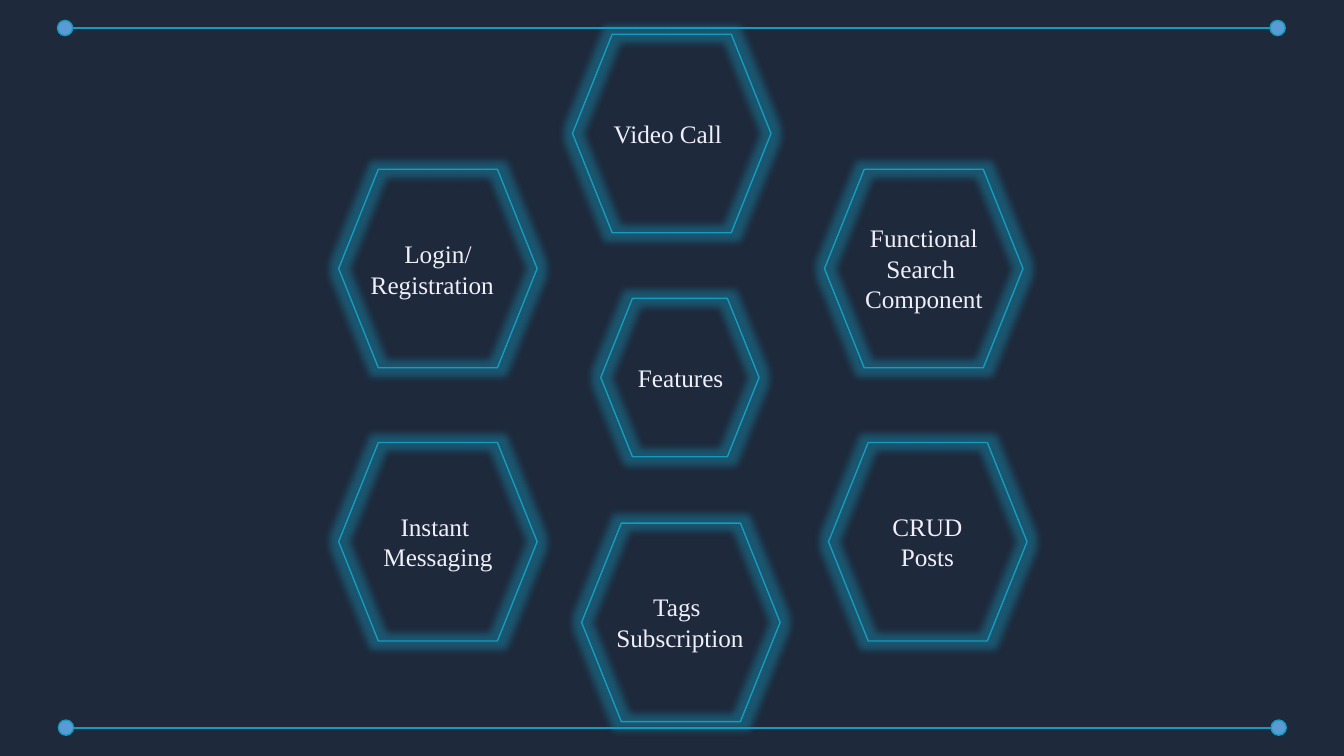
import dataclasses

import pptx
import pptx.dml.color
import pptx.enum.shapes
import pptx.enum.text
import pptx.oxml
import pptx.oxml.ns
import pptx.util


@dataclasses.dataclass(frozen=True)
class Theme:
    """Colours, font and sizes of the slide."""
    background: str = "1E293B"
    rule: str = "169BBF"
    dot: str = "5B9BD5"
    outline: str = "159BBF"
    text: str = "F0EFF9"
    font: str = "Times New Roman"
    text_size: float = 18
    rule_width: float = 1.5
    outline_width: float = 1
    glow_radius: float = 11
    glow_opacity: int = 40


@dataclasses.dataclass(frozen=True)
class Feature:
    """A hexagon and its label, placed in percent of the slide's size."""
    lines: tuple
    hexagon: tuple
    label: tuple
    size: float = 14.77
    alignments: str = "ccc"
    wrap: bool = False


THEME = Theme()
WIDTH = pptx.util.Inches(13.333)
HEIGHT = pptx.util.Inches(7.5)
DOT_SIZE = 1.13
LABEL_MARGIN = 1.33
LINE_HEIGHT = 4.05
ALIGNMENTS = {"l": pptx.enum.text.PP_ALIGN.LEFT, "c": pptx.enum.text.PP_ALIGN.CENTER}
RULES = ((4.84, 95.06, 3.7), (4.91, 95.14, 96.25))
FEATURES = (
    Feature(("Features",), (44.7, 39.47), (46.73, 47.2, 8.4), 11.78, "l", True),
    Feature(("Login/", "Registration"), (25.2, 22.4), (26.85, 30.93, 11.48),
            alignments="cl", wrap=True),
    Feature(("Instant ", "Messaging"), (25.2, 58.53), (27.75, 66.93, 9.68)),
    Feature(("Tags ", "Subscription"), (43.28, 69.2), (45.08, 77.6, 11.03)),
    Feature(("Video Call",), (42.6, 4.53), (44.85, 14.93, 9.68)),
    Feature(("Functional", "Search ", "Component"), (61.35, 22.4), (63.45, 28.8, 10.58)),
    Feature(("CRUD", "Posts"), (61.65, 58.53), (65.63, 66.93, 6.75)),
)


def across(percent):
    """Return a share of the slide's width."""
    return round(WIDTH * percent / 100)


def down(percent):
    """Return a share of the slide's height."""
    return round(HEIGHT * percent / 100)


def color(value):
    """Return a colour from its hexadecimal name."""
    return pptx.dml.color.RGBColor.from_string(value)


def set_line(shape, line_color, width):
    """Give a shape or connector a solid line."""
    shape.line.color.rgb = color(line_color)
    shape.line.width = pptx.util.Pt(width)


def add_outlined_shape(shapes, kind, left, top, size, line_color, fill=None):
    """Add a shape as wide as it is high, with an outline and an optional fill."""
    shape = shapes.add_shape(kind, left, top, size, size)
    shape.shadow.inherit = False
    if fill:
        shape.fill.solid()
        shape.fill.fore_color.rgb = color(fill)
    else:
        shape.fill.background()
    set_line(shape, line_color, THEME.outline_width)
    return shape


def add_glow(shape):
    """Add a translucent glow to a shape's outline."""
    effects = shape.element.spPr.find(pptx.oxml.ns.qn("a:effectLst"))
    effects.append(pptx.oxml.parse_xml(
        f'<a:glow {pptx.oxml.ns.nsdecls("a")} rad="{pptx.util.Pt(THEME.glow_radius)}">'
        f'<a:srgbClr val="{THEME.outline}">'
        f'<a:alpha val="{THEME.glow_opacity * 1000}"/></a:srgbClr></a:glow>'))


def write_text(paragraph, text, *, alignment, size, font, text_color):
    """Write formatted text into a paragraph."""
    paragraph.alignment = alignment
    run = paragraph.add_run()
    run.text = text
    run.font.size = pptx.util.Pt(size)
    run.font.name = font
    run.font.color.rgb = color(text_color)


def add_rule(slide, start, end, height):
    """Add a horizontal rule with a dot centred on each end."""
    shapes = slide.shapes.add_group_shape().shapes
    rule = shapes.add_connector(pptx.enum.shapes.MSO_CONNECTOR.STRAIGHT,
                                across(start), down(height), across(end), down(height))
    set_line(rule, THEME.rule, THEME.rule_width)
    rule.element.spPr.append(pptx.oxml.parse_xml(
        f'<a:effectLst {pptx.oxml.ns.nsdecls("a")}/>'))
    size = across(DOT_SIZE)
    for center in (start, end):
        add_outlined_shape(shapes, pptx.enum.shapes.MSO_SHAPE.OVAL,
                           across(center) - size // 2, down(height) - size // 2,
                           size, THEME.rule, THEME.dot)


def add_label(shapes, feature):
    """Add a feature's label, one paragraph to a line."""
    left, top, width = feature.label
    height = LABEL_MARGIN + LINE_HEIGHT * len(feature.lines)
    box = shapes.add_textbox(across(left), down(top), across(width), down(height))
    frame = box.text_frame
    frame.word_wrap = feature.wrap
    frame.auto_size = pptx.enum.text.MSO_AUTO_SIZE.SHAPE_TO_FIT_TEXT
    for index, (line, alignment) in enumerate(zip(feature.lines, feature.alignments)):
        paragraph = frame.add_paragraph() if index else frame.paragraphs[0]
        write_text(paragraph, line, alignment=ALIGNMENTS[alignment],
                   size=THEME.text_size, font=THEME.font, text_color=THEME.text)


def add_feature(slide, feature):
    """Add a glowing hexagon grouped with its label."""
    shapes = slide.shapes.add_group_shape().shapes
    left, top = feature.hexagon
    hexagon = add_outlined_shape(shapes, pptx.enum.shapes.MSO_SHAPE.FLOWCHART_PREPARATION,
                                 across(left), down(top), across(feature.size),
                                 THEME.outline)
    add_glow(hexagon)
    add_label(shapes, feature)


def main():
    """Build the features slide and save it."""
    presentation = pptx.Presentation()
    presentation.slide_width = WIDTH
    presentation.slide_height = HEIGHT
    slide = presentation.slides.add_slide(presentation.slide_layouts[6])
    slide.background.fill.solid()
    slide.background.fill.fore_color.rgb = color(THEME.background)
    for rule in RULES:
        add_rule(slide, *rule)
    for feature in FEATURES:
        add_feature(slide, feature)
    presentation.save("out.pptx")


if __name__ == "__main__":
    main()
